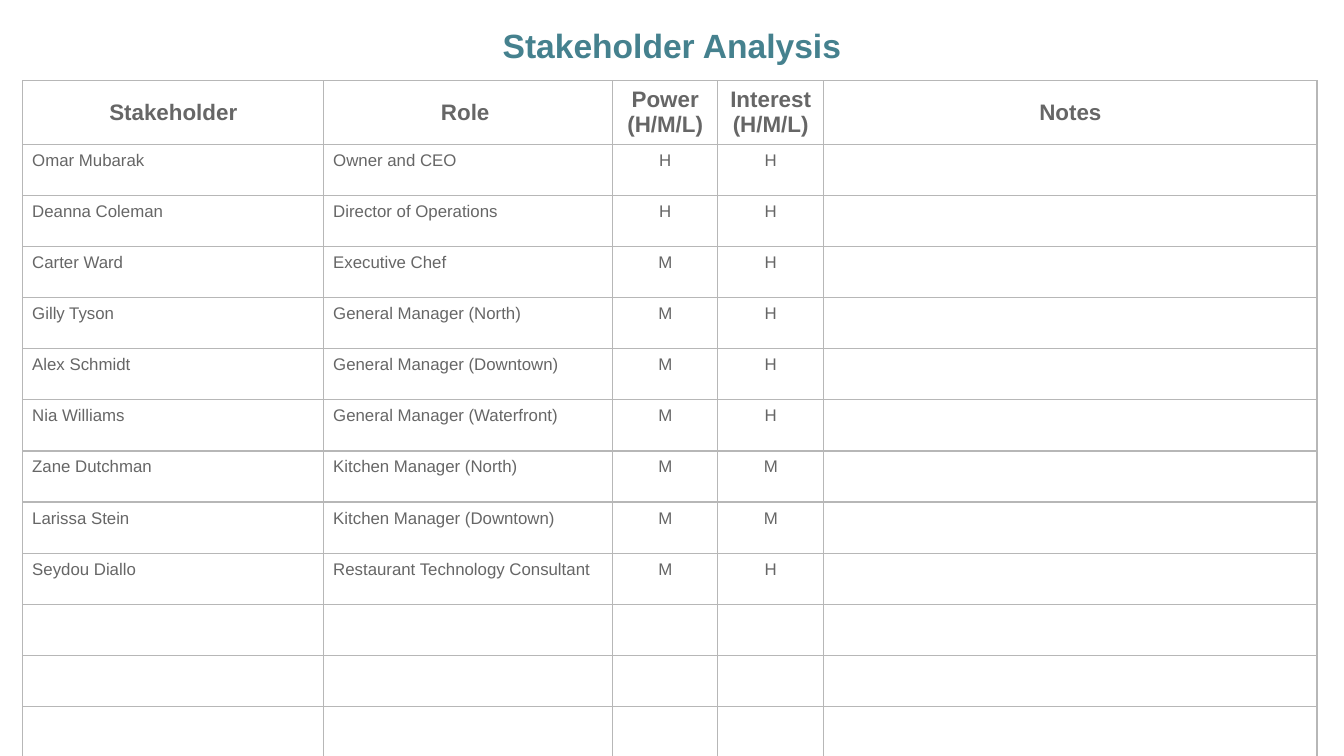
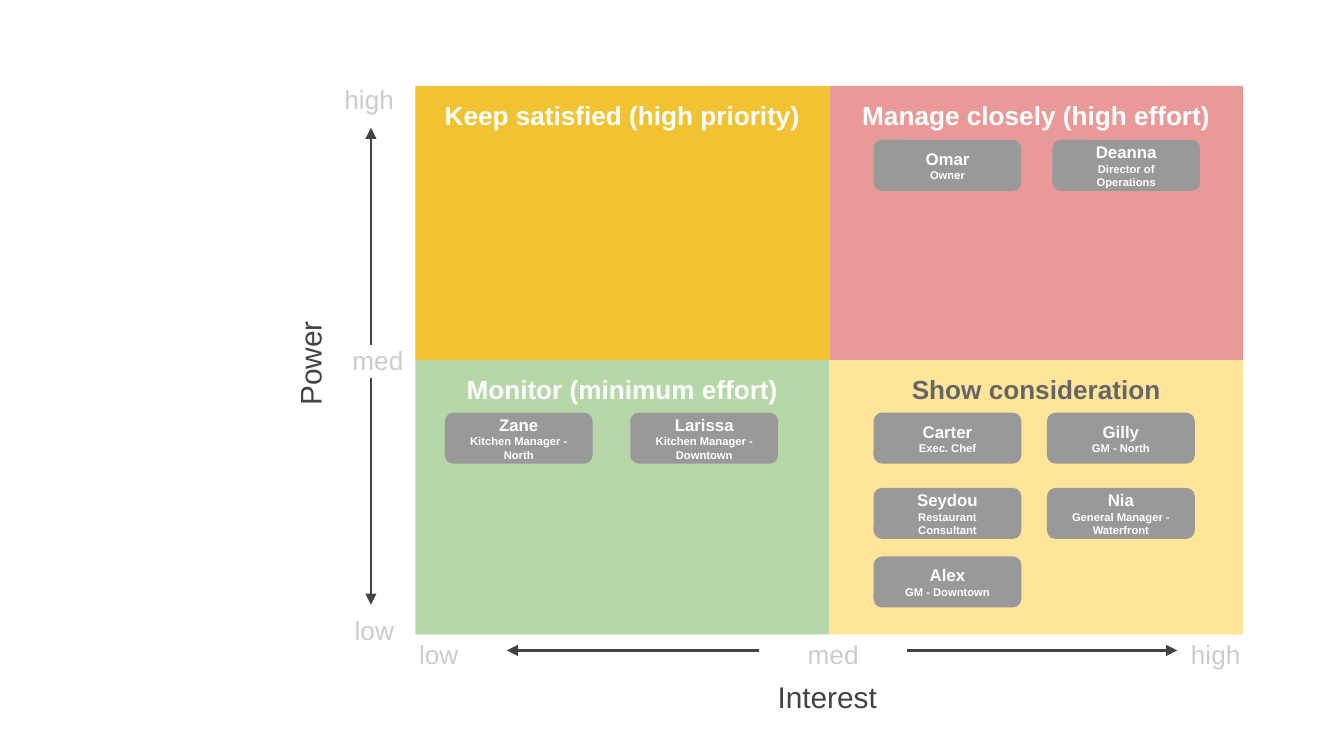
from lxml.etree import SubElement
from pptx import Presentation
from pptx.dml.color import RGBColor
from pptx.enum.shapes import MSO_CONNECTOR, MSO_SHAPE
from pptx.enum.text import MSO_ANCHOR, PP_ALIGN
from pptx.oxml import parse_xml
from pptx.oxml.ns import nsdecls, qn
from pptx.util import Inches, Pt

FONT = "Arial"
COLORS = {
    "title": "45818E", "text": "666666", "border": "B7B7B7",
    "axis": "434343", "scale": "CCCCCC", "card": "999999", "white": "FFFFFF",
    "satisfy": "F1C232", "manage": "EA9999",
    "monitor": "B6D7A8", "consider": "FFE599",
}
LEFT, CENTER, RIGHT = PP_ALIGN.LEFT, PP_ALIGN.CENTER, PP_ALIGN.RIGHT
TOP, MIDDLE = MSO_ANCHOR.TOP, MSO_ANCHOR.MIDDLE

# Stakeholder table
HEADERS = ["Stakeholder", "Role ", "Power (H/M/L)", "Interest (H/M/L)", "Notes"]
COL_WIDTHS = [2.24, 2.15, 0.78, 0.79, 3.67]
COL_ALIGNS = [LEFT, LEFT, CENTER, CENTER, LEFT]
STAKEHOLDERS = [
    ("Omar Mubarak", "Owner and CEO", "H", "H"),
    ("Deanna Coleman", "Director of Operations", "H", "H"),
    ("Carter Ward", "Executive Chef", "M", "H"),
    ("Gilly Tyson", "General Manager (North)", "M", "H"),
    ("Alex Schmidt", "General Manager (Downtown)", "M", "H"),
    ("Nia Williams", "General Manager (Waterfront)", "M", "H"),
    ("Zane Dutchman", "Kitchen Manager (North)", "M", "M"),
    ("Larissa Stein", "Kitchen Manager (Downtown)", "M", "M"),
    ("Seydou Diallo", "Restaurant Technology Consultant", "M", "H"),
]
SPARE_ROWS = 3
HEADER_H, ROW_H = 0.28, 0.36

# Power / interest grid
GRID_X, GRID_Y, QUAD_W, QUAD_H = 3.09, 0.64, 3.08, 2.04
QUADRANTS = [
    ("Keep satisfied (high priority)", "satisfy", "white"),
    ("Manage closely (high effort)", "manage", "white"),
    ("Monitor (minimum effort)", "monitor", "white"),
    ("Show consideration", "consider", "text"),
]
CARD_W, CARD_H = 1.1, 0.38
CARDS = [
    (6.5, 1.04, "Omar", "Owner"),
    (7.83, 1.04, "Deanna", "Director of Operations"),
    (3.31, 3.07, "Zane", "Kitchen Manager - North"),
    (4.69, 3.07, "Larissa", "Kitchen Manager - Downtown"),
    (6.5, 3.07, "Carter", "Exec. Chef"),
    (7.79, 3.07, "Gilly", "GM - North"),
    (6.5, 3.63, "Seydou", "Restaurant Consultant"),
    (7.79, 3.63, "Nia", "General Manager - Waterfront"),
    (6.5, 4.14, "Alex", "GM - Downtown"),
]
POWER_X, INTEREST_Y = 2.76, 4.84
SCALE_Y, SCALE_H = 4.65, 0.38


def rgb(name):
    return RGBColor.from_string(COLORS[name])


def format_paragraph(p, size, color, bold=False, align=CENTER):
    p.alignment = align
    for r in p.runs:
        r.font.name = FONT
        r.font.size = Pt(size)
        r.font.bold = bold
        r.font.color.rgb = rgb(color)


def set_frame(tf, anchor):
    tf.word_wrap = True
    tf.vertical_anchor = anchor
    tf.margin_left = tf.margin_right = Inches(0.1)
    tf.margin_top = tf.margin_bottom = Inches(0.1)


def add_text(slide, text, x, y, w, h, size, color, bold=False, align=CENTER, anchor=TOP):
    box = slide.shapes.add_textbox(Inches(x), Inches(y), Inches(w), Inches(h))
    set_frame(box.text_frame, anchor)
    box.text_frame.text = text
    format_paragraph(box.text_frame.paragraphs[0], size, color, bold, align)
    return box


def add_scale_label(slide, text, x, y, w, h, align=CENTER):
    return add_text(slide, text, x, y, w, h, 14, "scale", align=align)


def add_block(slide, kind, x, y, w, h, fill, lines, color, anchor):
    """Filled shape with bold centred lines, given as (text, size)."""
    sp = slide.shapes.add_shape(kind, Inches(x), Inches(y), Inches(w), Inches(h))
    sp.shadow.inherit = False
    sp.fill.solid()
    sp.fill.fore_color.rgb = rgb(fill)
    sp.line.fill.background()
    tf = sp.text_frame
    set_frame(tf, anchor)
    tf.text = "\n".join(text for text, size in lines)
    for p, (text, size) in zip(tf.paragraphs, lines):
        format_paragraph(p, size, color, bold=True)


def add_arrow(slide, x1, y1, x2, y2, begin=None, end=None):
    line = slide.shapes.add_connector(
        MSO_CONNECTOR.STRAIGHT, Inches(x1), Inches(y1), Inches(x2), Inches(y2))
    line.line.color.rgb = rgb("axis")
    line.line.width = Pt(1.5)
    SubElement(line.line._get_or_add_ln(), qn("a:tailEnd"), type="triangle")
    SubElement(line._element.spPr, qn("a:effectLst"))
    if begin:
        line.begin_connect(*begin)
    if end:
        line.end_connect(*end)


def style_cell(cell, text, size, bold, align, anchor):
    cell.margin_left = cell.margin_right = Inches(0.07)
    cell.margin_top = cell.margin_bottom = Inches(0.05)
    cell.vertical_anchor = anchor
    cell.fill.background()
    p = cell.text_frame.paragraphs[0]
    if text:
        p.text = text
        format_paragraph(p, size, "text", bold, align)
    else:
        # The font of an empty cell sets the row's least height
        end = SubElement(p._p, qn("a:endParaRPr"), sz="1800")
        SubElement(end, qn("a:latin"), typeface=FONT)
    # Borders come before the fill in the cell properties
    tc_pr = cell._tc.get_or_add_tcPr()
    for i, side in enumerate("LRTB"):
        tc_pr.insert(i, parse_xml(
            f'<a:ln{side} {nsdecls("a")} w="{Pt(0.75)}"><a:solidFill>'
            f'<a:srgbClr val="{COLORS["border"]}"/></a:solidFill></a:ln{side}>'))


def add_stakeholder_table(slide, x, y):
    rows = len(STAKEHOLDERS) + SPARE_ROWS
    height = HEADER_H + rows * ROW_H
    table = slide.shapes.add_table(
        rows + 1, len(HEADERS), Inches(x), Inches(y),
        Inches(sum(COL_WIDTHS)), Inches(height)).table
    table.first_row = table.horz_banding = False
    for col, width in zip(table.columns, COL_WIDTHS):
        col.width = Inches(width)
    for i, row in enumerate(table.rows):
        row.height = Inches(ROW_H if i else HEADER_H)
    for c, (header, align) in enumerate(zip(HEADERS, COL_ALIGNS)):
        style_cell(table.cell(0, c), header, 12, True, CENTER, MIDDLE)
        for i in range(rows):
            person = STAKEHOLDERS[i] if i < len(STAKEHOLDERS) else ()
            text = person[c] if c < len(person) else ""
            style_cell(table.cell(i + 1, c), text, 9, False, align, TOP)


def build_analysis(slide):
    add_stakeholder_table(slide, 0.17, 0.6)
    title = add_text(slide, "Stakeholder Analysis", 0.83, 0.04, 8.34, 0.5, 18, "title", bold=True)
    title.text_frame.paragraphs[0].line_spacing = 1.15


def build_matrix(slide):
    # Quadrants
    for i, (label, fill, color) in enumerate(QUADRANTS):
        row, col = divmod(i, 2)
        add_block(slide, MSO_SHAPE.RECTANGLE, GRID_X + col * QUAD_W, GRID_Y + row * QUAD_H,
                  QUAD_W, QUAD_H, fill, [(label, 14)], color, TOP)

    # Power axis
    power = add_text(slide, "Power", 1.39, 2.53, 1.83, 0.35, 16, "axis", anchor=MIDDLE)
    power.rotation = 270
    add_scale_label(slide, "high", 1.7, 0.52, 1.33, 0.26, RIGHT)
    add_scale_label(slide, "med", 2.42, 2.46, 0.68, 0.44, RIGHT)
    add_scale_label(slide, "low", 1.7, 4.47, 1.33, 0.26, RIGHT)
    add_arrow(slide, POWER_X, 2.57, POWER_X, 0.95)
    add_arrow(slide, POWER_X, 2.81, POWER_X, 4.5)

    # Interest axis
    low = add_scale_label(slide, "low", 2.76, SCALE_Y, 1.01, SCALE_H)
    med = add_scale_label(slide, "med", 5.65, SCALE_Y, 1.1, SCALE_H)
    add_scale_label(slide, "high", 8.54, SCALE_Y, 1.01, SCALE_H)
    add_arrow(slide, 5.65, INTEREST_Y, 3.77, INTEREST_Y, begin=(med, 1), end=(low, 3))
    add_arrow(slide, 6.75, INTEREST_Y, 8.76, INTEREST_Y, begin=(med, 3))
    add_text(slide, "Interest", 5.41, 4.95, 1.49, 0.47, 16, "axis")

    # Stakeholder cards
    for x, y, name, role in CARDS:
        add_block(slide, MSO_SHAPE.ROUNDED_RECTANGLE, x, y, CARD_W, CARD_H,
                  "card", [(name, 9), (role, 6)], "white", MIDDLE)


def main():
    prs = Presentation()
    # 16:9 page
    prs.slide_width = Inches(10)
    prs.slide_height = prs.slide_width * 9 // 16
    for build in (build_analysis, build_matrix):
        build(prs.slides.add_slide(prs.slide_layouts[6]))
    prs.save("out.pptx")


if __name__ == "__main__":
    main()
